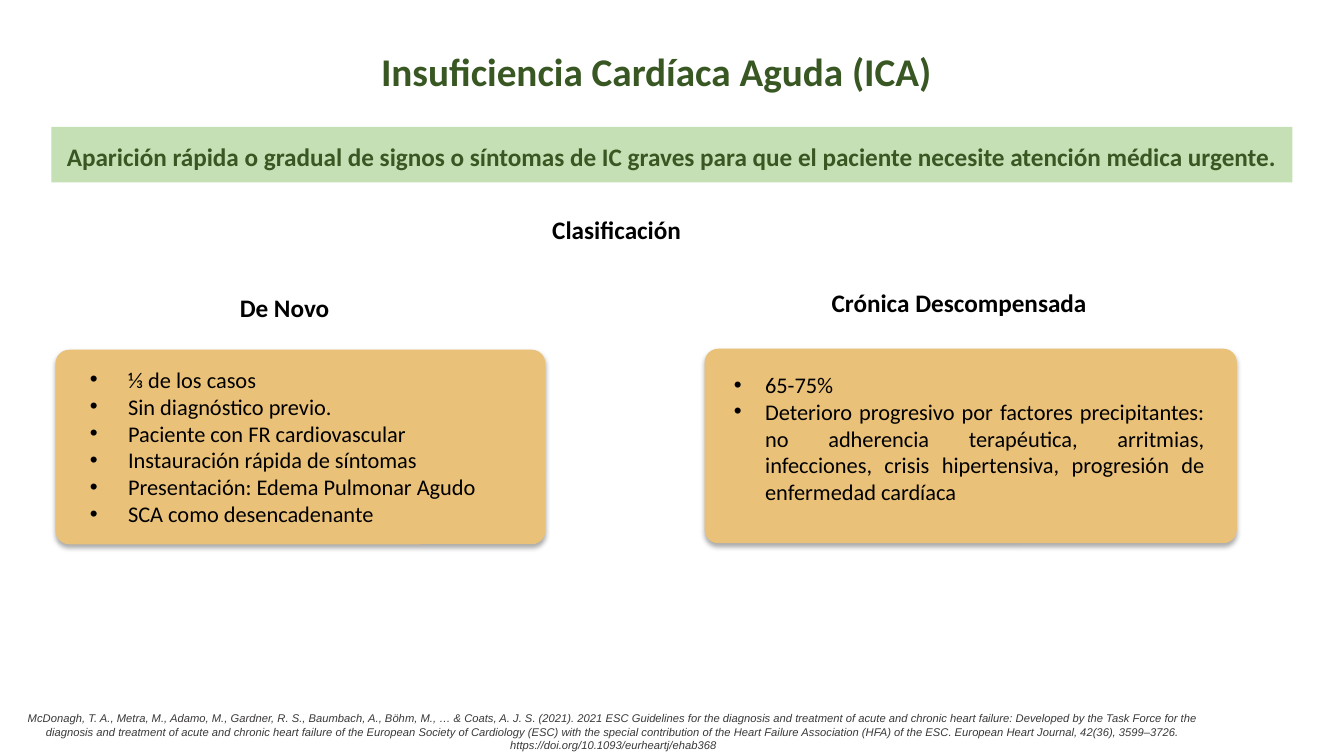
from lxml.etree import SubElement
from pptx import Presentation
from pptx.dml.color import RGBColor
from pptx.enum.shapes import MSO_SHAPE
from pptx.enum.text import MSO_ANCHOR, PP_ALIGN
from pptx.oxml.ns import qn
from pptx.util import Inches, Pt

DARK_GREEN = RGBColor(0x38, 0x57, 0x23)
LIGHT_GREEN = RGBColor(0xC5, 0xE0, 0xB4)
SAND = RGBColor(0xEA, 0xC1, 0x79)
BLACK = RGBColor(0, 0, 0)
GRAY = RGBColor(0x3B, 0x38, 0x38)

TITLE_FONT = {"name": "Calibri", "size": Pt(28), "bold": True}
HEADING_FONT = {"name": "Calibri", "size": Pt(18), "bold": True}
LIST_FONT = {"name": "Calibri", "size": Pt(16)}
REFERENCE_FONT = {"name": "Arial", "size": Pt(8), "italic": True}

presentation = Presentation()
presentation.slide_width = Inches(13.33)
presentation.slide_height = Inches(7.5)
column = presentation.slide_width / 100
row = presentation.slide_height / 100
slide = presentation.slides.add_slide(presentation.slide_layouts[5])


def area(left, top, width, height):
    return [int(length) for length in (left * column, top * row, width * column, height * row)]


def write(shape, lines, font_format, color, alignment=PP_ALIGN.LEFT, margins=(0.1, 0.05), indent=None):
    frame = shape.text_frame
    frame.word_wrap = True
    frame.vertical_anchor = MSO_ANCHOR.TOP
    frame.margin_left = frame.margin_right = Inches(margins[0])
    frame.margin_top = frame.margin_bottom = Inches(margins[1])
    frame.text = "\n".join(lines)
    for paragraph in frame.paragraphs:
        paragraph.alignment = alignment
        paragraph.space_before = Pt(0)
        if indent:
            properties = paragraph._p.get_or_add_pPr()
            properties.set("marL", str(Inches(indent[0])))
            properties.set("indent", str(Inches(-indent[1])))
            SubElement(properties, qn("a:buFont"), typeface="Arial")
            SubElement(properties, qn("a:buChar"), char="•")
        for run in paragraph.runs:
            for attribute, value in font_format.items():
                setattr(run.font, attribute, value)
            run.font.color.rgb = color


title = slide.shapes.title
title.left, title.top, title.width, title.height = area(27.6, 5.6, 47.25, 7.6)
write(title, ["Insuficiencia Cardíaca Aguda (ICA)"], TITLE_FONT, DARK_GREEN)

banner = slide.shapes.add_shape(MSO_SHAPE.RECTANGLE, *area(3.83, 16.8, 92.33, 7.33))
banner.shadow.inherit = False
banner.fill.solid()
banner.fill.fore_color.rgb = LIGHT_GREEN
banner.line.fill.background()
write(banner, ["Aparición rápida o gradual de signos o síntomas de IC graves para que el paciente "
               "necesite atención médica urgente."],
      HEADING_FONT, DARK_GREEN, PP_ALIGN.CENTER, (0.1, 0.1))
banner.text_frame.paragraphs[0].line_spacing = 1.15

headings = [
    ("Clasificación", (40.35, 27.73, 15.68, 5.33)),
    ("De Novo", (17.1, 38, 15.38, 5.33)),
    ("Crónica Descompensada", (61.13, 37.33, 21.83, 5.33)),
]
for text, place in headings:
    heading = slide.shapes.add_textbox(*area(*place))
    write(heading, [text], HEADING_FONT, BLACK)

cards = [
    ((4.13, 46.27, 36.45, 25.73), (3.83, 48.4, 36.45, 21.6), (0.76, 0.38), [
        "⅓ de los casos",
        "Sin diagnóstico previo.",
        "Paciente con FR cardiovascular",
        "Instauración rápida de síntomas",
        "Presentación: Edema Pulmonar Agudo",
        "SCA como desencadenante",
    ]),
    ((52.43, 46.13, 39.6, 25.73), (51.75, 49.07, 37.88, 18), (0.69, 0.31), [
        "65-75%",
        "Deterioro progresivo por factores precipitantes: no adherencia terapéutica, arritmias, "
        "infecciones, crisis hipertensiva, progresión de enfermedad cardíaca",
    ]),
]
for card_place, list_place, indent, lines in cards:
    card = slide.shapes.add_shape(MSO_SHAPE.ROUNDED_RECTANGLE, *area(*card_place))
    card.adjustments[0] = 0.07
    card.fill.solid()
    card.fill.fore_color.rgb = SAND
    card.line.fill.background()
    card.shadow.inherit = False
    effects = card._element.spPr.find(qn("a:effectLst"))
    shadow = SubElement(effects, qn("a:outerShdw"), blurRad=str(Pt(3.5)), dist=str(Pt(2.2)),
                        dir="5400000", algn="ctr", rotWithShape="0")
    shadow_color = SubElement(shadow, qn("a:srgbClr"), val=str(BLACK))
    SubElement(shadow_color, qn("a:alpha"), val="32000")
    bullet_list = slide.shapes.add_textbox(*area(*list_place))
    write(bullet_list, lines, LIST_FONT, BLACK, PP_ALIGN.JUSTIFY, (0, 0), indent)

reference = slide.shapes.add_textbox(*area(0.08, 93.47, 91.13, 6.53))
write(reference, [
    "McDonagh, T. A., Metra, M., Adamo, M., Gardner, R. S., Baumbach, A., Böhm, M., … & Coats, A. J. S. "
    "(2021). 2021 ESC Guidelines for the diagnosis and treatment of acute and chronic heart failure: "
    "Developed by the Task Force for the diagnosis and treatment of acute and chronic heart failure of "
    "the European Society of Cardiology (ESC) with the special contribution of the Heart Failure "
    "Association (HFA) of the ESC. European Heart Journal, 42(36), 3599–3726. "
    "https://doi.org/10.1093/eurheartj/ehab368",
], REFERENCE_FONT, GRAY, PP_ALIGN.CENTER)

presentation.save("out.pptx")
